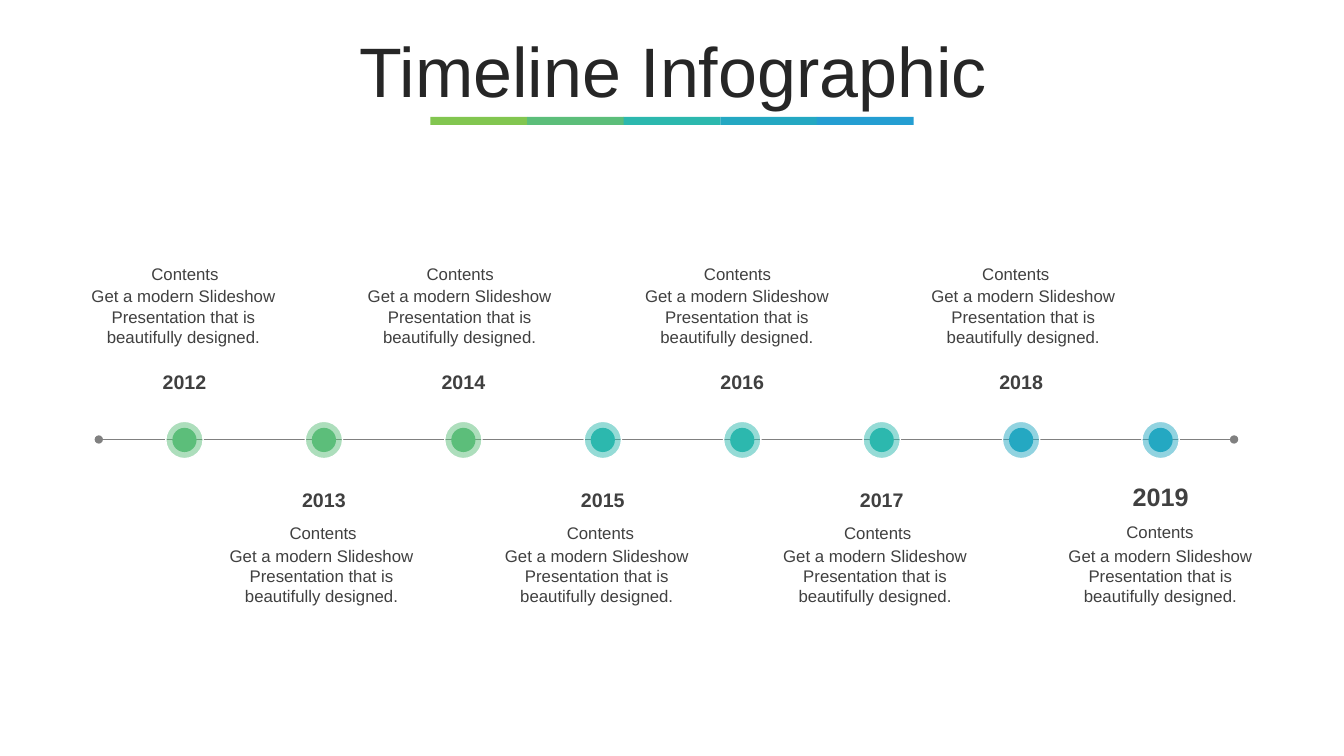
from lxml.etree import SubElement
from pptx import Presentation
from pptx.dml.color import RGBColor
from pptx.enum.shapes import MSO_CONNECTOR, MSO_SHAPE
from pptx.enum.text import MSO_ANCHOR, PP_ALIGN
from pptx.oxml.ns import qn
from pptx.util import Inches, Pt

LIME, GREEN, TEAL, CYAN, BLUE = "82C650", "5CBE7A", "2CB8AE", "24A8C2", "249ED2"
DARK = "404040"
AXIS_Y = 4.36
FIRST_CENTER, YEAR_STEP = 1.83, 1.383
DESCRIPTION = "Get a modern Slideshow Presentation that is beautifully designed."

MILESTONES = [
    ("2012", GREEN, 0.73, 0.72),
    ("2013", GREEN, 2.1, 2.09),
    ("2014", GREEN, 3.46, 3.46),
    ("2015", TEAL, 4.85, 4.82),
    ("2016", TEAL, 6.21, 6.21),
    ("2017", TEAL, 7.6, 7.58),
    ("2018", CYAN, 8.97, 9.05),
    ("2019", CYAN, 10.4, 10.41),
]


def color(hex_value):
    return RGBColor.from_string(hex_value)


def add_filled(slide, kind, left, top, width, height, fill):
    shape = slide.shapes.add_shape(
        kind, Inches(left), Inches(top), Inches(width), Inches(height))
    shape.shadow.inherit = False
    shape.fill.solid()
    shape.fill.fore_color.rgb = color(fill)
    shape.line.fill.background()
    return shape


def add_label(slide, text, left, top, width, height, size, ink=DARK, bold=False):
    label = slide.shapes.add_textbox(
        Inches(left), Inches(top), Inches(width), Inches(height))
    frame = label.text_frame
    frame.word_wrap = True
    paragraph = frame.paragraphs[0]
    paragraph.text = text
    paragraph.alignment = PP_ALIGN.CENTER
    paragraph.font.name = "Arial"
    paragraph.font.size = Pt(size)
    paragraph.font.bold = bold
    paragraph.font.color.rgb = color(ink)
    return frame


def add_title(slide):
    title = add_label(slide, "Timeline Infographic", 0.35, 0.37, 12.66, 0.79, 50, "262626")
    title.vertical_anchor = MSO_ANCHOR.MIDDLE
    title.paragraphs[0].line_spacing = 0.8
    for index, fill in enumerate([LIME, GREEN, TEAL, CYAN, BLUE]):
        add_filled(slide, MSO_SHAPE.RECTANGLE, 4.27 + 0.958 * index, 1.16, 0.96, 0.08, fill)


def add_axis(slide):
    axis = slide.shapes.add_connector(
        MSO_CONNECTOR.STRAIGHT, Inches(0.98), Inches(AXIS_Y), Inches(12.24), Inches(AXIS_Y))
    axis.line.color.rgb = color("808080")
    axis.line.width = Pt(1.25)
    outline = axis.line._get_or_add_ln()
    for end in ("a:headEnd", "a:tailEnd"):
        SubElement(outline, qn(end), type="oval")
    SubElement(axis._element.spPr, qn("a:effectLst"))


def add_dot(slide, center, diameter, fill):
    return add_filled(slide, MSO_SHAPE.OVAL, center - diameter / 2,
                      AXIS_Y + 0.005 - diameter / 2, diameter, diameter, fill)


def add_marker(slide, center, fill):
    halo = add_dot(slide, center, 0.37, fill)
    halo.line.color.rgb = color("FFFFFF")
    halo.line.width = Pt(1)
    halo_color = halo._element.spPr.find(qn("a:solidFill"))[0]
    SubElement(halo_color, qn("a:alpha"), val="50000")
    add_dot(slide, center, 0.24, fill)


def add_milestone(slide, index, year, fill, heading_left, description_left):
    center = FIRST_CENTER + YEAR_STEP * index
    above = index % 2 == 0
    latest = index == len(MILESTONES) - 1
    year_top = 3.62 if above else 4.73 if latest else 4.79
    heading_top = 2.57 if above else 5.13 if latest else 5.14
    description_top = 2.79 if above else 5.36
    add_marker(slide, center, fill)
    add_label(slide, year, center - 0.405, year_top, 0.81, 0.34,
              18 if latest else 14, bold=True)
    add_label(slide, DESCRIPTION, description_left, description_top, 2.2, 0.71, 12)
    add_label(slide, "Contents", heading_left, heading_top, 2.21, 0.3, 12)


def main():
    presentation = Presentation()
    presentation.slide_width = Inches(13.33)
    presentation.slide_height = Inches(7.5)
    slide = presentation.slides.add_slide(presentation.slide_layouts[6])
    add_title(slide)
    add_axis(slide)
    for index, milestone in enumerate(MILESTONES):
        add_milestone(slide, index, *milestone)
    presentation.save("out.pptx")


if __name__ == "__main__":
    main()
